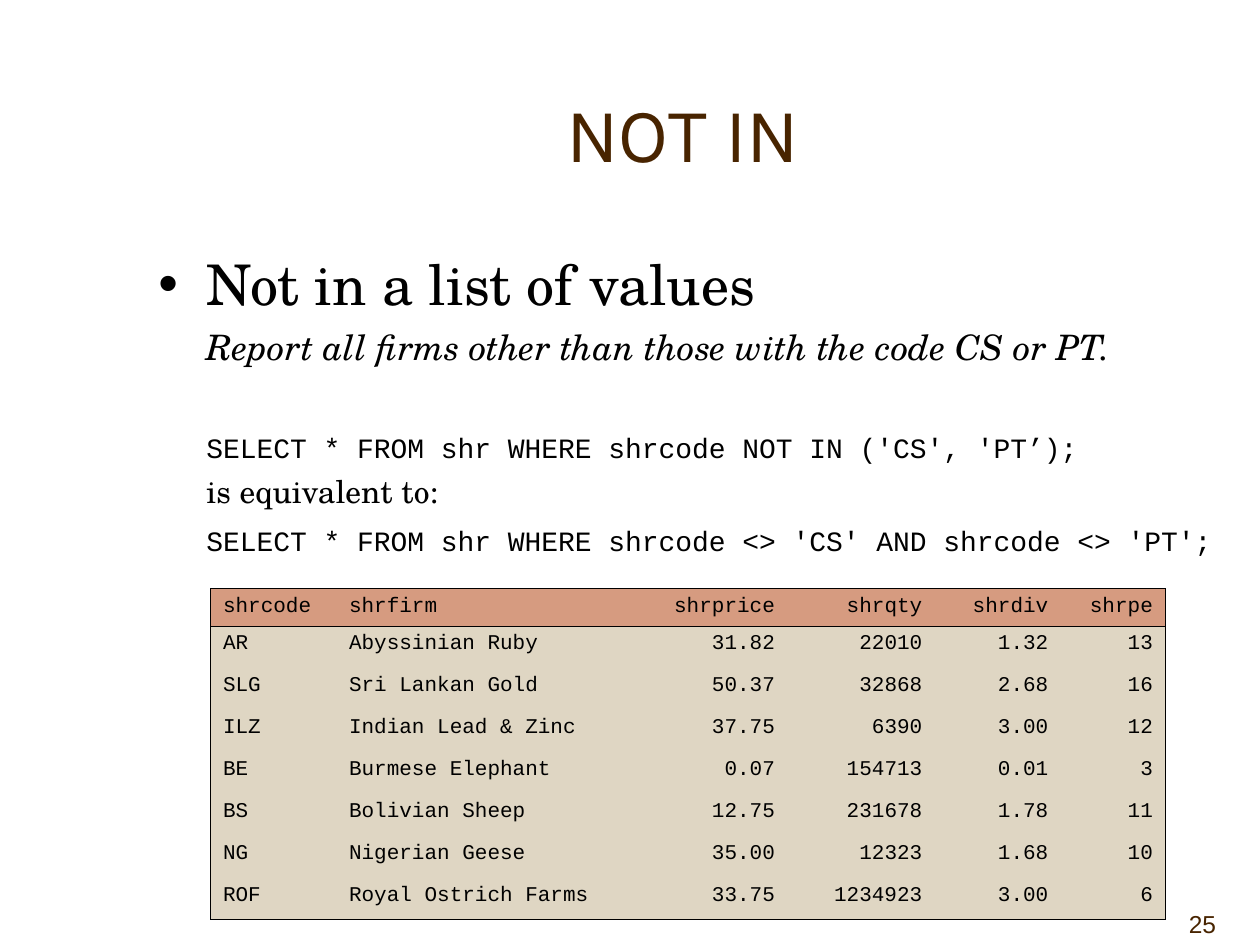
from lxml.etree import SubElement as Sub
from pptx import Presentation
from pptx.dml.color import RGBColor
from pptx.enum.text import MSO_ANCHOR as Anchor, PP_ALIGN as Align
from pptx.oxml.ns import qn
from pptx.util import Inches, Pt

BLACK, BROWN = "000000", "482400"
RUST, SAND = "D69B80", "DFD6C3"
SERIF, MONO = "TeX Gyre Schola", "Courier New"

LINES = [
    ("Not in a list of values", SERIF, 32, 8, False),
    ("Report all firms other than those with the code CS or PT.", SERIF, 20, 5, True),
    ("SELECT * FROM shr WHERE shrcode NOT IN ('CS', 'PT’);", MONO, 16, 36, False),
    ("is equivalent to:", SERIF, 18, 4.5, False),
    ("SELECT * FROM shr WHERE shrcode <> 'CS' AND shrcode <> 'PT';", MONO, 16, 8, False),
]
WIDTHS = [1, 2.33, 1.25, 1.17, 1, 0.83]
ROWS = [
    ("shrcode", "shrfirm", "shrprice", "shrqty", "shrdiv", "shrpe"),
    ("AR", "Abyssinian Ruby", "31.82", "22010", "1.32", "13"),
    ("SLG", "Sri Lankan Gold", "50.37", "32868", "2.68", "16"),
    ("ILZ", "Indian Lead & Zinc", "37.75", "6390", "3.00", "12"),
    ("BE", "Burmese Elephant", "0.07", "154713", "0.01", "3"),
    ("BS", "Bolivian Sheep", "12.75", "231678", "1.78", "11"),
    ("NG", "Nigerian Geese", "35.00", "12323", "1.68", "10"),
    ("ROF", "Royal Ostrich Farms", "33.75", "1234923", "3.00", "6"),
]


def color(code):
    return RGBColor.from_string(code)


def add_run(para, text, font, size, code=BLACK, italic=False):
    run = para.add_run()
    run.text = text
    run.font.name = font
    run.font.size = Pt(size)
    run.font.italic = italic
    run.font.color.rgb = color(code)


def add_frame(slide, box, anchor):
    frame = slide.shapes.add_textbox(*map(Inches, box)).text_frame
    frame.word_wrap = True
    frame.vertical_anchor = anchor
    return frame


def add_label(slide, box, text, font, size, align, anchor):
    para = add_frame(slide, box, anchor).paragraphs[0]
    para.alignment = align
    add_run(para, text, font, size, BROWN)


def set_indent(para, bullet):
    props = para._p.get_or_add_pPr()
    props.set("marL", str(Inches(0.38)))
    props.set("indent", str(Inches(-0.38 if bullet else 0)))
    if bullet:
        Sub(props, qn("a:buFont"), typeface="Arial")
        Sub(props, qn("a:buChar"), char="•")
    else:
        Sub(props, qn("a:buNone"))


def add_body(slide, box):
    frame = add_frame(slide, box, Anchor.TOP)
    for i, (text, font, size, gap, italic) in enumerate(LINES):
        para = frame.add_paragraph() if i else frame.paragraphs[0]
        para.space_before = Pt(gap)
        set_indent(para, i == 0)
        add_run(para, text, font, size, italic=italic)


def set_edges(cell, edges):
    props = cell._tc.get_or_add_tcPr()
    for side, drawn in edges.items():
        line = Sub(props, qn(f"a:ln{side}"), w=str(Pt(0.45)))
        if drawn:
            fill = Sub(line, qn("a:solidFill"))
            Sub(fill, qn("a:srgbClr"), val=BLACK)
        else:
            Sub(line, qn("a:noFill"))


def add_grid(slide, box):
    rows, cols = len(ROWS), len(WIDTHS)
    table = slide.shapes.add_table(rows, cols, *map(Inches, box)).table
    table.first_row = table.horz_banding = False
    head = 0.3
    for r, row in enumerate(ROWS):
        table.rows[r].height = Inches((box[3] - head) / (rows - 1) if r else head)
        for c, text in enumerate(row):
            table.columns[c].width = Inches(WIDTHS[c])
            cell = table.cell(r, c)
            set_edges(cell, {"L": c == 0, "R": c == cols - 1,
                             "T": r < 2, "B": r in (0, rows - 1)})
            cell.fill.solid()
            cell.fill.fore_color.rgb = color(SAND if r else RUST)
            para = cell.text_frame.paragraphs[0]
            para.space_before = Pt(3)
            para.alignment = Align.RIGHT if c > 1 else Align.LEFT
            add_run(para, text, MONO, 12)


def main():
    deck = Presentation()
    deck.slide_width, deck.slide_height = Inches(10), Inches(7.5)
    slide = deck.slides.add_slide(deck.slide_layouts[6])
    add_label(slide, (1.17, 0.42, 8.5, 1.25), "NOT IN", "Karla", 44,
              Align.CENTER, Anchor.MIDDLE)
    add_body(slide, (1.16, 1.93, 8.84, 4.5))
    add_grid(slide, (1.67, 4.67, 7.58, 2.63))
    add_label(slide, (8.5, 7, 1.25, 0.5), "25", "Arial", 14,
              Align.RIGHT, Anchor.BOTTOM)
    deck.save("out.pptx")


if __name__ == "__main__":
    main()
